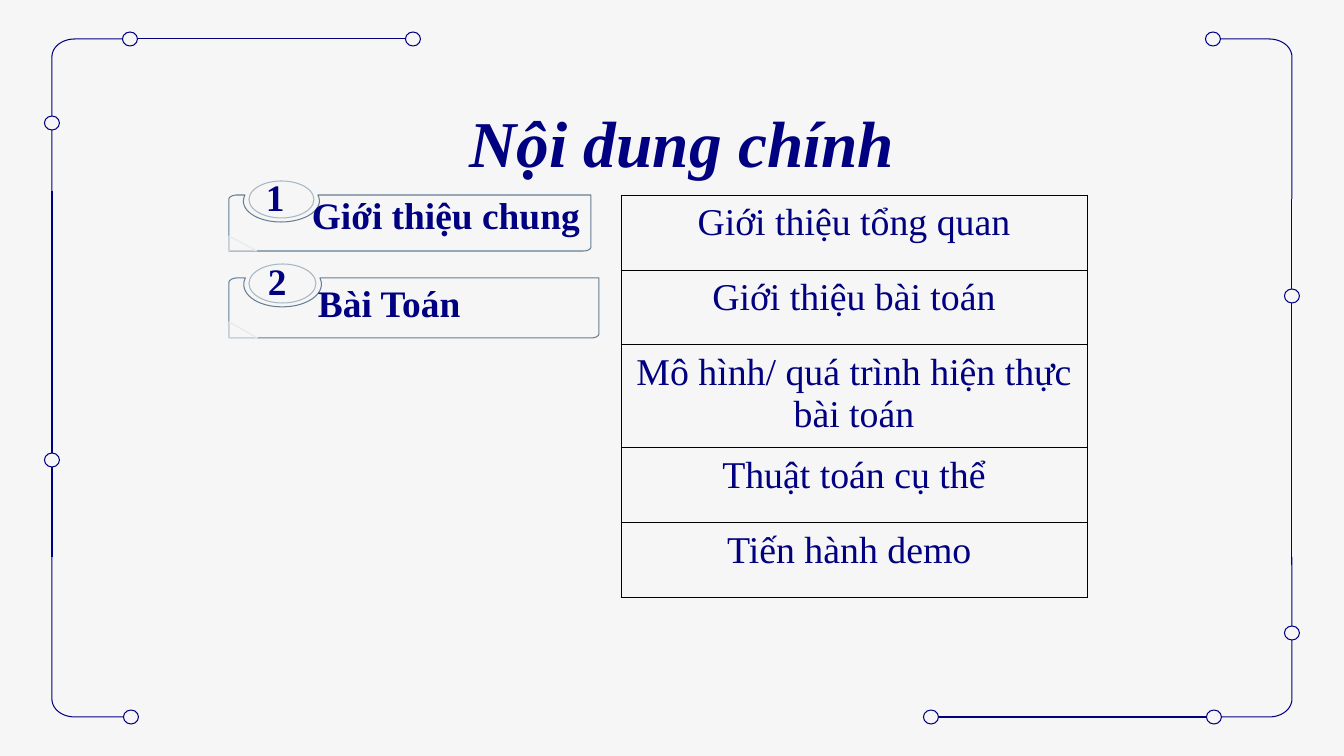
from dataclasses import dataclass

import lxml.etree
import pptx
import pptx.dml.color
import pptx.enum.shapes
import pptx.enum.text
import pptx.oxml.ns
import pptx.util

EMU_PER_PX = 914400 / 100.8
SLIDE_W, SLIDE_H = 1344, 756
FONT = "Times New Roman"
NAVY = pptx.dml.color.RGBColor(0x00, 0x00, 0x80)
PAPER = pptx.dml.color.RGBColor(0xF6, 0xF6, 0xF6)
TAG_EDGE = pptx.dml.color.RGBColor(0x66, 0x7E, 0x92)
FOLD_EDGE = pptx.dml.color.RGBColor(0xE3, 0xE9, 0xED)
BADGE_EDGE = pptx.dml.color.RGBColor(0xA5, 0xB7, 0xC5)
OVAL = pptx.enum.shapes.MSO_SHAPE.OVAL
STRAIGHT = pptx.enum.shapes.MSO_CONNECTOR.STRAIGHT
CENTER = pptx.enum.text.PP_ALIGN.CENTER
TOP = pptx.enum.text.MSO_ANCHOR.TOP

Point = tuple[float, float]


@dataclass(frozen=True)
class Box:
    left: int
    top: int
    width: int
    height: int

    def emu(self) -> list[int]:
        return [px(v) for v in (self.left, self.top, self.width, self.height)]


@dataclass(frozen=True)
class Tag:
    number: str
    label: str
    outline: Box
    badge: Box
    number_box: Box
    label_box: Box


TAGS = [
    Tag("1", "Giới thiệu chung", Box(229, 195, 362, 56), Box(249, 181, 65, 37),
        Box(256, 169, 39, 55), Box(302, 187, 290, 55)),
    Tag("2", "Bài Toán", Box(229, 278, 370, 60), Box(249, 264, 67, 39),
        Box(258, 253, 39, 55), Box(308, 275, 164, 55)),
]
TOPICS = [
    ("Giới thiệu tổng quan", 75),
    ("Giới thiệu bài toán", 75),
    ("Mô hình/ quá trình hiện thực bài toán", 103),
    ("Thuật toán cụ thể", 75),
    ("Tiến hành demo ", 75),
]
# Left half of the frame; the right half is its half-turn
FRAME_LINES = [((52, 191), (52, 557)), ((137, 39), (406, 39))]
FRAME_NODES = [(130, 39), (413, 39), (52, 123), (52, 460), (131, 717)]
NODE_W, NODE_H = 15, 14


def px(value: float) -> int:
    return round(value * EMU_PER_PX)


def curve(a: Point, b: Point, c: Point, d: Point, steps: int = 16) -> list[Point]:
    """Points along a cubic Bezier curve."""
    points = []
    for i in range(steps + 1):
        t = i / steps
        weights = ((1 - t) ** 3, 3 * t * (1 - t) ** 2, 3 * t * t * (1 - t), t ** 3)
        points.append(tuple(sum(w * p[axis] for w, p in zip(weights, (a, b, c, d)))
                            for axis in (0, 1)))
    return points


def half_turn(point: Point) -> Point:
    return SLIDE_W - point[0], SLIDE_H - point[1]


def style(shape, edge, fill=None) -> None:
    shape.shadow.inherit = False
    if fill is None:
        shape.fill.background()
    else:
        shape.fill.solid()
        shape.fill.fore_color.rgb = fill
    shape.line.color.rgb = edge
    shape.line.width = pptx.util.Pt(0.75)


def draw_outline(shapes, points: list[Point], edge, close: bool) -> None:
    corners = [(px(x), px(y)) for x, y in points]
    builder = shapes.build_freeform(*corners[0], scale=1.0)
    builder.add_line_segments(corners[1:], close=close)
    style(builder.convert_to_shape(), edge)


def draw_oval(shapes, box: Box, edge, fill=None) -> None:
    style(shapes.add_shape(OVAL, *box.emu()), edge, fill)


def draw_line(shapes, start: Point, end: Point) -> None:
    line = shapes.add_connector(STRAIGHT, *map(px, start + end))
    line.line.color.rgb = NAVY
    line.line.width = pptx.util.Pt(0.75)
    lxml.etree.SubElement(line._element.spPr, pptx.oxml.ns.qn("a:effectLst"))


def write(paragraph, text: str, size: float, bold=False, italic=False) -> None:
    run = paragraph.add_run()
    run.text = text
    run.font.name = FONT
    run.font.size = pptx.util.Pt(size)
    run.font.bold = bold
    run.font.italic = italic
    run.font.color.rgb = NAVY


def draw_frame(shapes) -> None:
    top_bend = [(52, 199), *curve((52, 57), (52, 47), (62, 39), (75, 39)), (124, 39)]
    bottom_bend = [(x, SLIDE_H - y) for x, y in top_bend]
    for place in (lambda point: point, half_turn):
        for start, end in FRAME_LINES:
            draw_line(shapes, place(start), place(end))
        for bend in (top_bend, bottom_bend):
            draw_outline(shapes, [place(p) for p in bend], NAVY, close=False)
        for node in FRAME_NODES:
            x, y = place(node)
            draw_oval(shapes, Box(x - NODE_W / 2, y - NODE_H / 2, NODE_W, NODE_H),
                      NAVY, PAPER)


def draw_tag(shapes, tag: Tag) -> None:
    box = tag.outline
    # Points are laid out on a 362 x 56 grid and stretched to the tag
    tag_shape = [
        *curve((89, 0), (96, 14), (77, 27), (52, 27)),
        *curve((52, 27), (27, 27), (9, 14), (16, 0)),
        *curve((8, 0), (4, 0), (0, 2), (0, 4)),
        (0, 56),
        *curve((354, 56), (359, 56), (362, 54), (362, 52)),
        (362, 0),
    ]
    fold = [(0, 41), (0, 56), (28, 56)]
    for grid, edge in ((tag_shape, TAG_EDGE), (fold, FOLD_EDGE)):
        points = [(box.left + x * box.width / 362, box.top + y * box.height / 56)
                  for x, y in grid]
        draw_outline(shapes, points, edge, close=True)
    draw_oval(shapes, tag.badge, BADGE_EDGE)


def draw_text(shapes, text: str, box: Box) -> None:
    frame = shapes.add_textbox(*box.emu()).text_frame
    frame.word_wrap = False
    write(frame.paragraphs[0], text, 26.7, bold=True)


def border_cell(cell) -> None:
    properties = cell._tc.get_or_add_tcPr()
    for index, side in enumerate(("a:lnL", "a:lnR", "a:lnT", "a:lnB")):
        line = lxml.etree.Element(pptx.oxml.ns.qn(side), w="9525")
        solid = lxml.etree.SubElement(line, pptx.oxml.ns.qn("a:solidFill"))
        lxml.etree.SubElement(solid, pptx.oxml.ns.qn("a:srgbClr"), val="000000")
        properties.insert(index, line)


def draw_topics(shapes) -> None:
    box = Box(621, 195, 466, sum(height for _, height in TOPICS))
    table = shapes.add_table(len(TOPICS), 1, *box.emu()).table
    table.first_row = table.horz_banding = False
    for row, (topic, height) in enumerate(TOPICS):
        table.rows[row].height = px(height)
        cell = table.cell(row, 0)
        cell.fill.background()
        cell.margin_left = cell.margin_right = px(13)
        cell.margin_top = cell.margin_bottom = px(7)
        paragraph = cell.text_frame.paragraphs[0]
        paragraph.alignment = CENTER
        write(paragraph, topic, 27)
        border_cell(cell)


def main() -> None:
    deck = pptx.Presentation()
    deck.slide_width, deck.slide_height = px(SLIDE_W), px(SLIDE_H)
    slide = deck.slides.add_slide(deck.slide_layouts[5])
    slide.background.fill.solid()
    slide.background.fill.fore_color.rgb = PAPER

    # Title
    title = slide.shapes.title
    title.left, title.top, title.width, title.height = Box(116, 89, 1132, 71).emu()
    heading = title.text_frame
    heading.vertical_anchor = TOP
    heading.margin_left = heading.margin_right = px(13)
    heading.margin_top = heading.margin_bottom = px(13)
    heading.paragraphs[0].alignment = CENTER
    write(heading.paragraphs[0], "Nội dung chính", 46.7, bold=True, italic=True)

    # Frame, topic table and numbered tags
    draw_frame(slide.shapes)
    draw_topics(slide.shapes)
    for tag in TAGS:
        draw_tag(slide.shapes, tag)
        draw_text(slide.shapes, tag.label, tag.label_box)
        draw_text(slide.shapes, tag.number, tag.number_box)
    deck.save("out.pptx")


if __name__ == "__main__":
    main()
